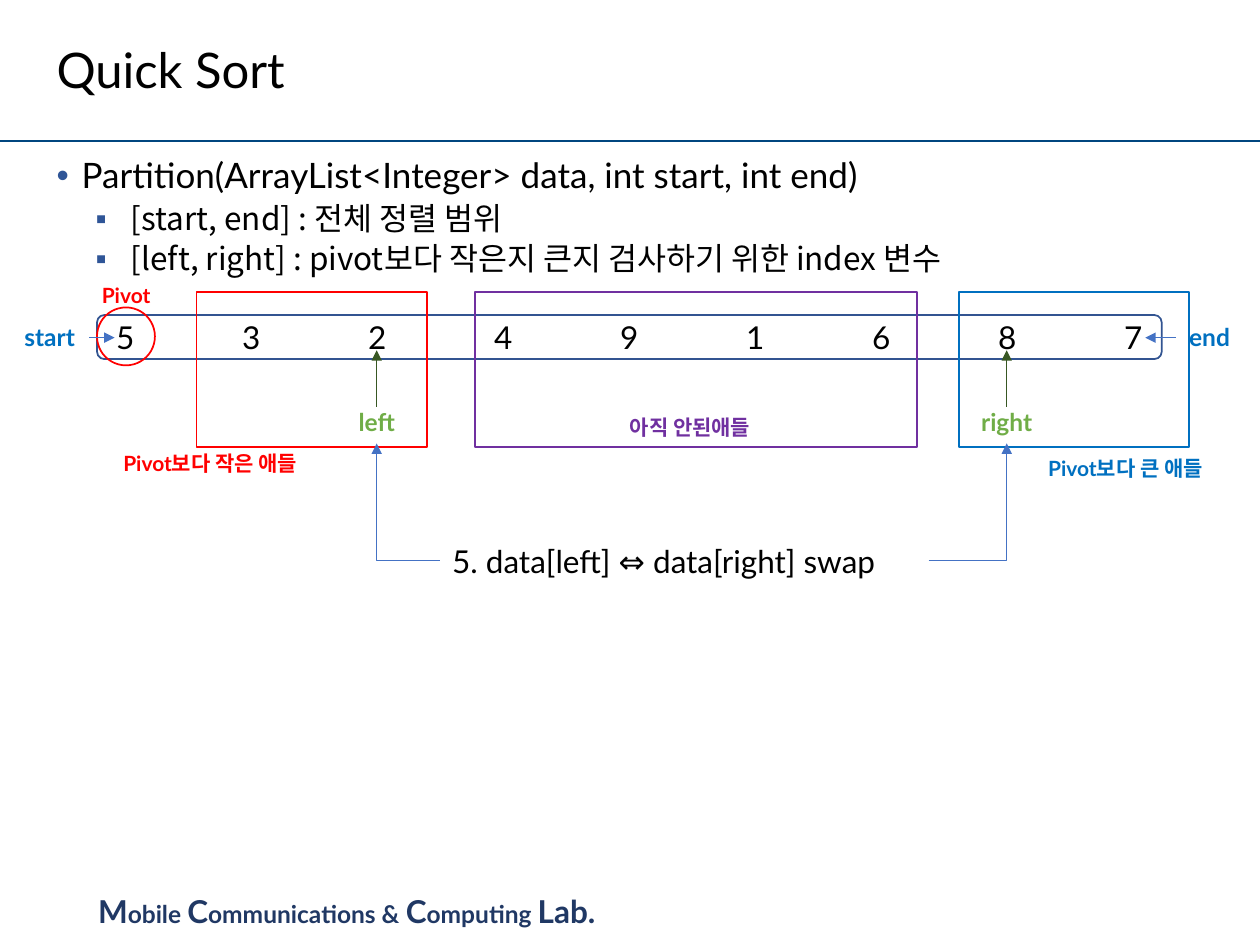
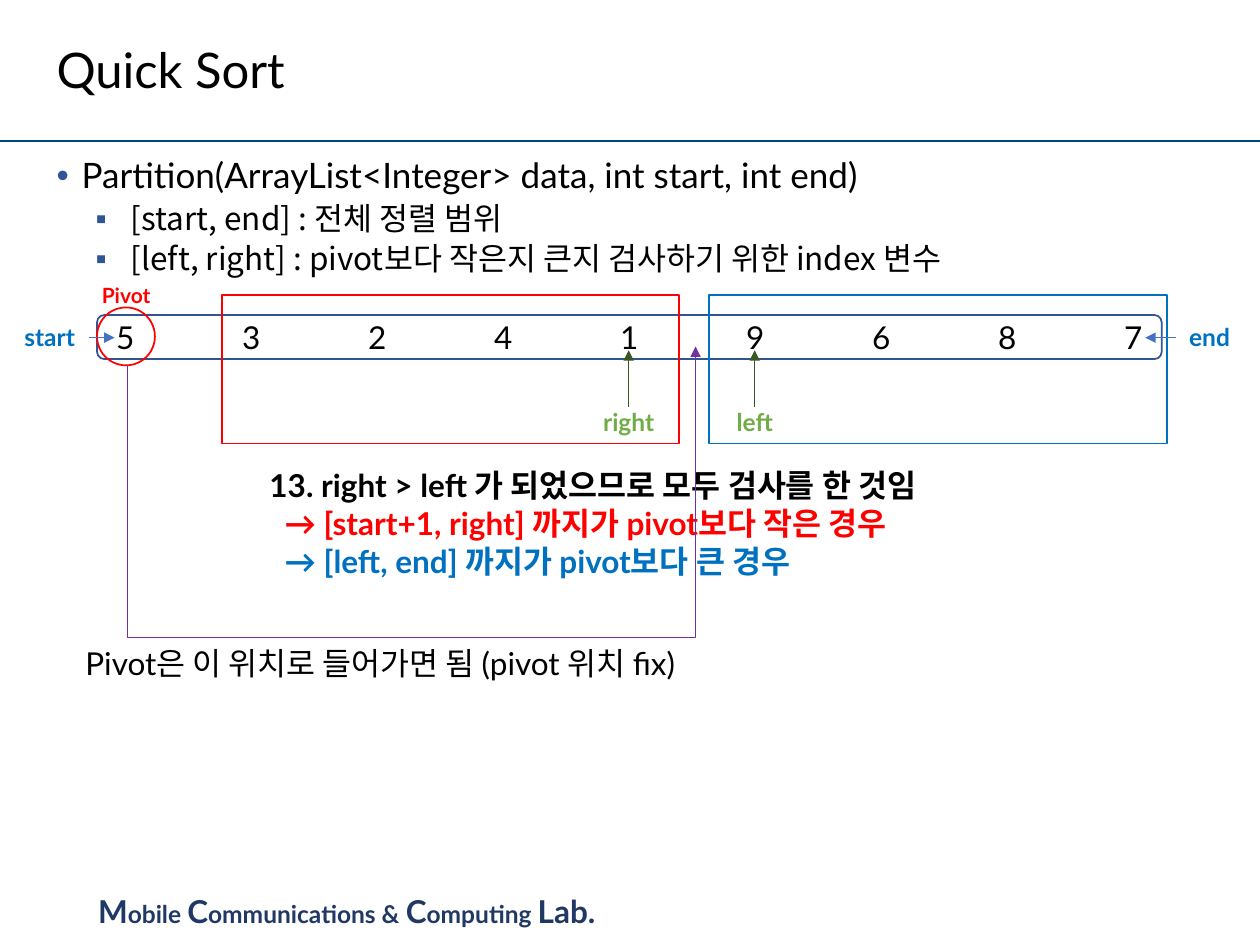
"""Build two slides that explain the partition step of quick sort."""
import pptx
import pptx.util
import pptx.oxml.ns
import pptx.dml.color
import pptx.enum.text
import pptx.enum.shapes
import lxml.etree

Inches = pptx.util.Inches
Pt = pptx.util.Pt
qn = pptx.oxml.ns.qn
KIND = pptx.enum.shapes.MSO_SHAPE
LINK = pptx.enum.shapes.MSO_CONNECTOR
ALIGN = pptx.enum.text.PP_ALIGN
MIDDLE = pptx.enum.text.MSO_ANCHOR.MIDDLE

HUES = {
    "black": "000000", "navy": "203864", "rule": "00467F", "bullet": "2F5597",
    "array": "325491", "arrow": "4472C4", "red": "FF0000", "blue": "0070C0",
    "purple": "7030A0", "green": "70AD47", "dark": "385723",
}
LATIN, KOREAN = "Lato", "Noto Sans CJK KR"
HIGH = {12: 0.3, 14: 0.34, 18: 0.4}
AXIS = 2.68


def write(frame, lines, size, hue, bold=False, align=ALIGN.LEFT):
    frame.text = lines
    for para in frame.paragraphs:
        para.alignment = align
        for run in para.runs:
            run.font.name = LATIN
            run.font.size = Pt(size)
            run.font.bold = bold
            run.font.color.rgb = pptx.dml.color.RGBColor.from_string(HUES[hue])
            east = lxml.etree.SubElement(run.font._element, qn("a:ea"))
            east.set("typeface", KOREAN)
    return frame


def link(page, start, end, hue, width=0.5, kind=LINK.STRAIGHT, head=True):
    wire = page.shapes.add_connector(kind, *map(Inches, start + end))
    wire.line.color.rgb = pptx.dml.color.RGBColor.from_string(HUES[hue])
    wire.line.width = Pt(width)
    if head:
        tip = lxml.etree.SubElement(wire.line._get_or_add_ln(), qn("a:tailEnd"))
        tip.set("type", "triangle")
    lxml.etree.SubElement(wire._element.spPr, qn("a:effectLst"))
    return wire


deck = pptx.Presentation()
deck.slide_width, deck.slide_height = Inches(10), Inches(7.5)

FOOTER = [("M", 18), ("obile ", 14), ("C", 18), ("ommunications & ", 14),
          ("C", 18), ("omputing ", 14), ("Lab.", 18)]
BODY = ("Partition(ArrayList<Integer> data, int start, int end)\n"
        "[start, end] : 전체 정렬 범위\n"
        "[left, right] : pivot보다 작은지 큰지 검사하기 위한 index 변수")
LABELS = [
    ("start", 0.08, 2.51, 0.63, 14, "blue", True),
    ("end", 9.33, 2.51, 0.54, 14, "blue", True),
    ("Pivot", 0.71, 2.19, 0.6, 12, "red", True),
]
STEPS = [
    {
        "data": "5 3 2 4 9 1 6 8 7",
        "left": 2, "right": 7,
        "zones": [(1.56, 2.32, 1.83, 1.23, "red"), (7.61, 2.32, 1.83, 1.23, "blue"),
                  (3.77, 2.32, 3.51, 1.23, "purple")],
        "labels": [
            ("5. data[left] ⇔ data[right] swap", 3.49, 4.25, 3.89, 18, "black", False),
            ("Pivot보다 작은 애들", 0.88, 3.53, 1.71, 12, "red", True),
            ("Pivot보다 큰 애들", 8.22, 3.57, 1.54, 12, "blue", True),
            ("아직 안된애들", 4.9, 3.24, 1.26, 12, "purple", True),
        ],
    },
    {
        "data": "5 3 2 4 1 9 6 8 7",
        "left": 5, "right": 4,
        "zones": [(1.76, 2.34, 3.63, 1.18, "red"), (5.63, 2.34, 3.63, 1.18, "blue")],
        "labels": [
            ("Pivot은 이 위치로 들어가면 됨 (pivot 위치 fix)",
             0.58, 5.06, 5.37, 18, "black", False),
        ],
    },
]

pages = []
for step in STEPS:
    page = deck.slides.add_slide(deck.slide_layouts[6])
    pages.append(page)

    box = page.shapes.add_textbox(*map(Inches, (0.68, 7.03, 4.53, 0.4)))
    box.text_frame.word_wrap = True
    para = box.text_frame.paragraphs[0]
    for word, size in FOOTER:
        run = para.add_run()
        run.text = word
        run.font.name = LATIN
        run.font.size = Pt(size)
        run.font.bold = True
        run.font.color.rgb = pptx.dml.color.RGBColor.from_string(HUES["navy"])
    link(page, (0, 1.12), (10, 1.12), "rule", 1.5, head=False)

    box = page.shapes.add_textbox(*map(Inches, (0.35, 1.21, 9.31, 5.95)))
    box.text_frame.word_wrap = True
    write(box.text_frame, BODY, 18, "black")
    for row, para in enumerate(box.text_frame.paragraphs):
        mark, left, hang, gap = ("▪", 0.59, 0.28, 3.8) if row else ("•", 0.2, 0.2, 7.5)
        para.line_spacing = 0.9
        para.space_before = Pt(gap)
        para.runs[0].font.size = Pt(18 if row else 20)
        para.runs[0].font.name = KOREAN if row else LATIN
        props = para._p.get_or_add_pPr()
        props.set("marL", str(Inches(left)))
        props.set("indent", str(-Inches(hang)))
        tint = lxml.etree.SubElement(props, qn("a:buClr"))
        lxml.etree.SubElement(tint, qn("a:srgbClr")).set("val", HUES["bullet"])
        lxml.etree.SubElement(props, qn("a:buFont")).set("typeface", "Arial")
        lxml.etree.SubElement(props, qn("a:buChar")).set("char", mark)

    box = page.shapes.add_textbox(*map(Inches, (0.35, 0.14, 9.31, 0.88)))
    box.text_frame.word_wrap = True
    box.text_frame.vertical_anchor = MIDDLE
    write(box.text_frame, "Quick Sort", 28, "black").paragraphs[0].line_spacing = 0.9

    frames = [(KIND.ROUNDED_RECTANGLE, 0.77, 2.5, 8.45, 0.35, "array"),
              (KIND.OVAL, 0.77, 2.44, 0.46, 0.46, "red")]
    frames += [(KIND.RECTANGLE, *zone) for zone in step["zones"]]
    for kind, x, y, w, h, hue in frames:
        shape = page.shapes.add_shape(kind, *map(Inches, (x, y, w, h)))
        shape.shadow.inherit = False
        shape.fill.background()
        shape.line.color.rgb = pptx.dml.color.RGBColor.from_string(HUES[hue])
        shape.line.width = Pt(1)
        if hue == "array":
            shape.text_frame.vertical_anchor = MIDDLE
            write(shape.text_frame, step["data"].replace(" ", "\t"), 18, "black",
                  align=ALIGN.CENTER)
            props = shape.text_frame.paragraphs[0]._p.get_or_add_pPr()
            stops = lxml.etree.SubElement(props, qn("a:tabLst"))
            for slot in range(1, 9):
                stop = lxml.etree.SubElement(stops, qn("a:tab"))
                stop.set("pos", str(Inches(slot)))
                stop.set("algn", "l")

    link(page, (0.71, AXIS), (0.91, AXIS), "arrow")
    link(page, (9.33, AXIS), (9.09, AXIS), "arrow")
    labels = LABELS + step["labels"]
    for name, wide in (("left", 0.52), ("right", 0.63)):
        x = 0.99 + step[name]
        link(page, (x, 3.23), (x, 2.78), "dark")
        labels.append((name, x - wide / 2, 3.18, wide, 14, "green", True))
    for text, x, y, w, size, hue, bold in labels:
        box = page.shapes.add_textbox(*map(Inches, (x, y, w, HIGH[size])))
        box.text_frame.word_wrap = False
        box.text_frame.auto_size = pptx.enum.text.MSO_AUTO_SIZE.SHAPE_TO_FIT_TEXT
        align = ALIGN.CENTER if size == 14 else ALIGN.LEFT
        write(box.text_frame, text, size, hue, bold, align)

swap, final = pages
for start, end in (((3.49, 4.45), (2.99, 3.52)), ((7.37, 4.45), (7.99, 3.52))):
    wire = link(swap, start, end, "arrow", kind=LINK.ELBOW)
    wire._element.spPr.find(qn("a:prstGeom")).set("prst", "bentConnector2")

box = final.shapes.add_textbox(*map(Inches, (2.04, 3.65, 5.92, 1.01)))
box.text_frame.word_wrap = False
box.text_frame.auto_size = pptx.enum.text.MSO_AUTO_SIZE.SHAPE_TO_FIT_TEXT
write(box.text_frame, "13. right > left 가 되었으므로 모두 검사를 한 것임\n"
      "→ [start+1, right] 까지가 pivot보다 작은 경우\n"
      "→ [left, end] 까지가 pivot보다 큰 경우", 18, "black", True)
for para, hue in zip(box.text_frame.paragraphs[1:], ("red", "blue")):
    para._p.get_or_add_pPr().set("marL", str(Inches(0.12)))
    para.runs[0].font.color.rgb = pptx.dml.color.RGBColor.from_string(HUES[hue])

wire = link(final, (3.34, 5.08), (3.19, 0.57), "purple", kind=LINK.ELBOW)
wire._element.spPr.find(qn("a:xfrm")).set("rot", str(90 * 60000))
bends = wire._element.spPr.find(qn("a:prstGeom")).get_or_add_avLst()
bend = lxml.etree.SubElement(bends, qn("a:gd"))
bend.set("name", "adj1")
bend.set("fmla", "val -1442000")

deck.save("out.pptx")
